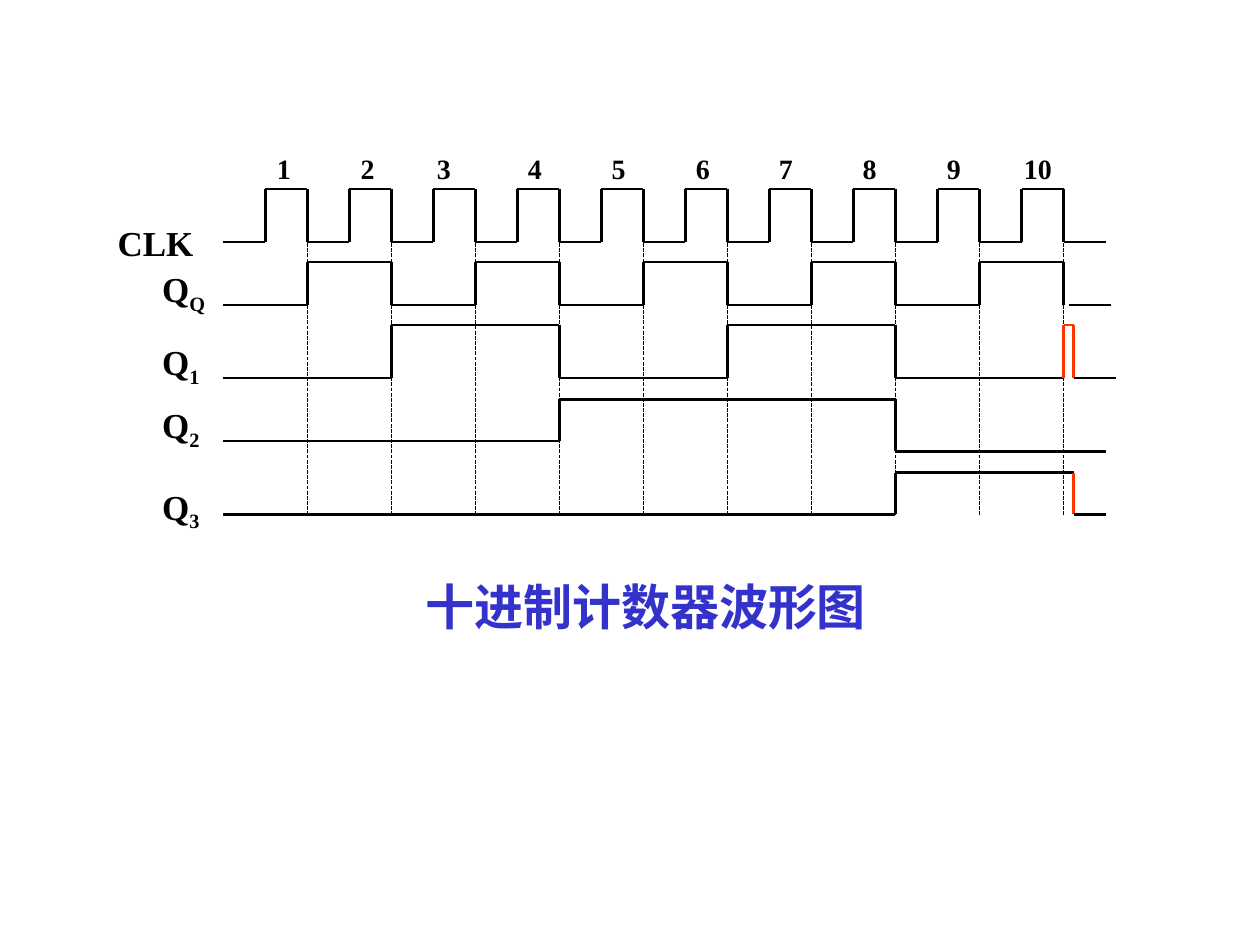
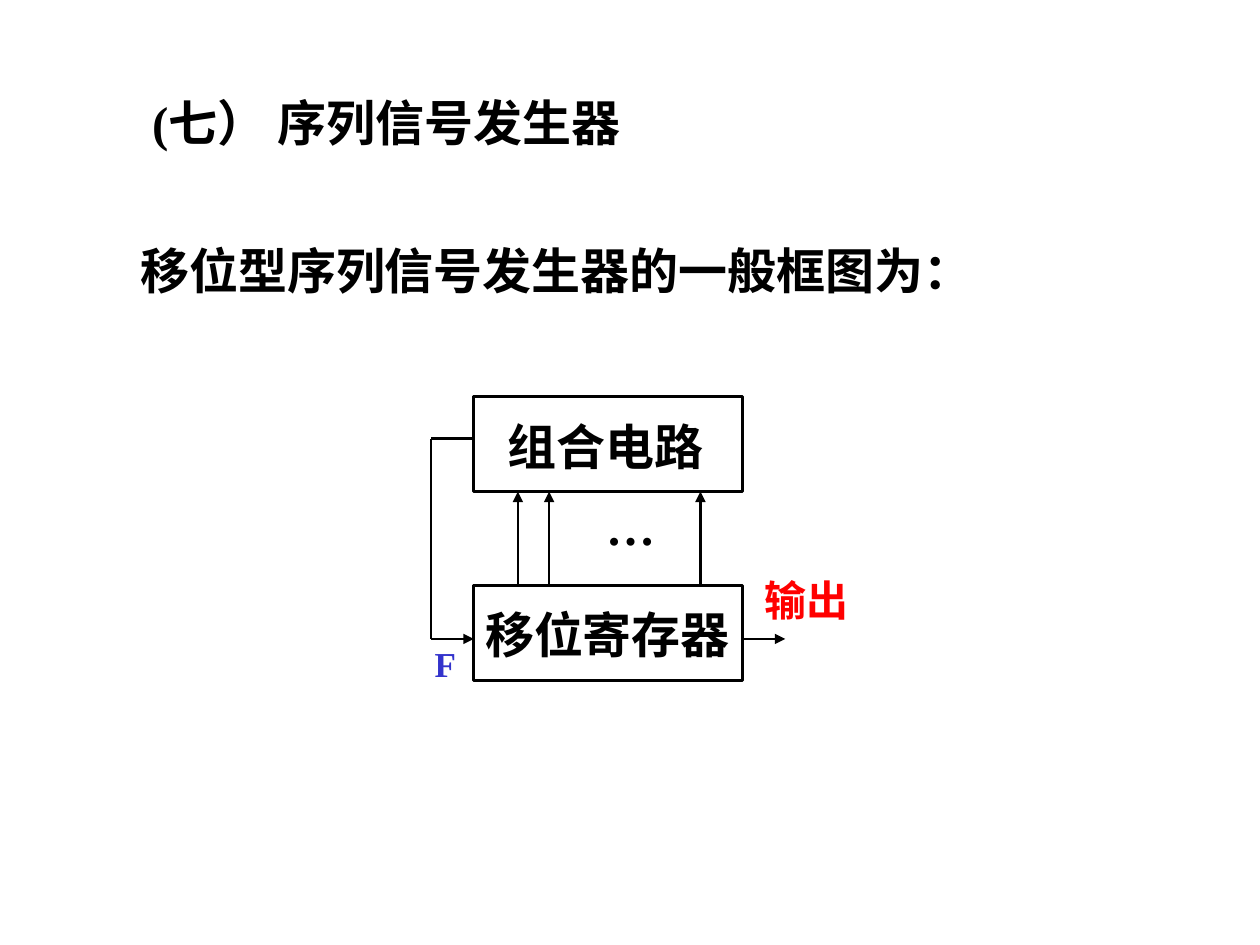
"""Build two slides: a decade counter timing chart and a sequence generator diagram."""
from itertools import pairwise

from lxml.etree import SubElement
from pptx import Presentation
from pptx.dml.color import RGBColor
from pptx.enum.dml import MSO_LINE
from pptx.enum.shapes import MSO_CONNECTOR, MSO_SHAPE
from pptx.enum.text import MSO_ANCHOR
from pptx.oxml.ns import qn
from pptx.util import Cm, Pt

COLORS = {"ink": "000000", "accent": "3333CC", "output": "FF0000", "spike": "FF3300"}
FONT = {"name": "Times New Roman", "bold": True}
MARGINS = {"margin_left": 0.25, "margin_right": 0.25, "margin_top": 0.13, "margin_bottom": 0.13}

TICK_ORIGIN, TICK = 4.5, 1.694
RESET = 10.12
GUIDE_TOP, GUIDE_BOTTOM = 4.9, 10.38

PULSE_LABELS = [("1", 0), ("2", 1.69), ("3", 3.23), ("4", 5.06), ("5", 6.75),
                ("6", 8.45), ("7", 10.12), ("8", 11.81), ("9", 13.51), ("10", 15.06)]

WAVES = [
    {"low": 4.88, "high": 3.81, "edges": [n / 2 for n in range(1, 21)], "end": 10.5},
    {"low": 6.15, "high": 5.28, "edges": range(1, 11), "end": 10},
    {"low": 6.15, "start": 10.07, "end": 10.57},
    {"low": 7.62, "high": 6.55, "edges": [2, 4, 6, 8, 10, RESET], "end": 10.63,
     "spike": (10, RESET)},
    {"low": 8.89, "high": 8.05, "edges": [4, 8], "end": 10.5, "final": 9.1},
    {"low": 10.37, "high": 9.53, "edges": [8, RESET], "end": 10.5, "spike": (RESET, RESET)},
]

SIGNAL_LABELS = [("CLK", "", 2.12, 4.33), ("Q", "Q", 3.02, 5.26), ("Q", "1", 3.02, 6.73),
                 ("Q", "2", 3.02, 8), ("Q", "3", 3.02, 9.65)]
CAPTION = {"text": "十进制计数器波形图", "box": (8.33, 11.5, 10.5, 1.45), "color": "accent"}

GENERATOR_TEXTS = [
    {"text": "(七） 序列信号发生器", "box": (2.82, 1.73, 12, 1.45), "anchor": MSO_ANCHOR.MIDDLE},
    {"text": "移位型序列信号发生器的一般框图为：", "box": (2.58, 4.72, 18.5, 1.45)},
    {"text": "组合电路", "box": (9.98, 8.26, 5, 1.45)},
    {"text": "移位寄存器", "box": (9.53, 12.05, 6, 1.45)},
    {"text": "…", "box": (11.97, 9.88, 1.8, 1.45)},
    {"text": "输出", "box": (15.16, 11.46, 3, 1.27), "size": 24, "color": "output"},
    {"text": "F", "box": (8.51, 12.83, 1.2, 1.12), "size": 20, "color": "accent"},
]

BLOCK_LEFT, BLOCK_WIDTH, BLOCK_HEIGHT = 9.55, 5.42, 1.91
LOGIC_TOP, REGISTER_TOP = 8, 11.81
REGISTER_INPUTS = [10.44, 11.07, 14.12]
FEEDBACK_X, FEEDBACK_TOP, SIGNAL_Y, STUB = 8.69, 8.84, 12.88, 0.86


def rgb(color):
    return RGBColor.from_string(COLORS[color])


def add_line(slide, start, end, color="ink", width=1.5, dash=None, arrow=False):
    line = slide.shapes.add_connector(MSO_CONNECTOR.STRAIGHT, *map(Cm, start + end))
    line.line.color.rgb = rgb(color)
    line.line.width = Pt(width)
    if dash:
        line.line.dash_style = dash
    if arrow:
        SubElement(line.line._get_or_add_ln(), qn("a:tailEnd"), type="triangle")
    SubElement(line._element.spPr, qn("a:effectLst"))


def add_run(paragraph, text, size, color):
    run = paragraph.add_run()
    run.text = text
    for name, value in {**FONT, "size": Pt(size)}.items():
        setattr(run.font, name, value)
    run.font.color.rgb = rgb(color)
    return run


def add_text(slide, text, box, size=28, color="ink", anchor=MSO_ANCHOR.TOP, subscript="", tabs=()):
    frame = slide.shapes.add_textbox(*map(Cm, box)).text_frame
    layout = {name: Cm(value) for name, value in MARGINS.items()}
    for name, value in {**layout, "word_wrap": True, "vertical_anchor": anchor}.items():
        setattr(frame, name, value)
    paragraph = frame.paragraphs[0]
    if tabs:
        stops = SubElement(paragraph._p.get_or_add_pPr(), qn("a:tabLst"))
        for position in tabs:
            SubElement(stops, qn("a:tab"), pos=str(Cm(position)), algn="l")
    add_run(paragraph, text, size, color)
    if subscript:
        run = add_run(paragraph, subscript, size, color)
        run._r.get_or_add_rPr().set("baseline", "-25000")


def tick_x(tick):
    return TICK_ORIGIN + tick * TICK


def add_wave(slide, low, end, high=None, edges=(), start=0, final=None, spike=None):
    points, level = [(start, low)], low
    for edge in edges:
        points.append((edge, level))
        level = high if level == low else low
        if edge == edges[-1] and final:
            level = final
        points.append((edge, level))
    if points[-1][0] != end:
        points.append((end, level))
    for (tick, y), (next_tick, next_y) in pairwise(points):
        in_spike = spike and spike[0] <= tick and next_tick <= spike[1]
        add_line(slide, (tick_x(tick), y), (tick_x(next_tick), next_y),
                 "spike" if in_spike else "ink")


def build_timing_chart(slide):
    for cycle in range(1, 11):
        add_line(slide, (tick_x(cycle), GUIDE_TOP), (tick_x(cycle), GUIDE_BOTTOM),
                 width=0.75, dash=MSO_LINE.SQUARE_DOT)
    for wave in WAVES:
        add_wave(slide, **wave)
    labels, offsets = zip(*PULSE_LABELS)
    add_text(slide, "\t".join(labels), (5.33, 2.92, 17, 0.94), size=16, tabs=offsets[1:])
    for name, subscript, left, top in SIGNAL_LABELS:
        add_text(slide, name, (left, top, 2.2, 1.2), size=20, subscript=subscript)
    add_text(slide, **CAPTION)


def build_generator(slide):
    for top in (LOGIC_TOP, REGISTER_TOP):
        block = slide.shapes.add_shape(
            MSO_SHAPE.RECTANGLE, *map(Cm, (BLOCK_LEFT, top, BLOCK_WIDTH, BLOCK_HEIGHT)))
        block.shadow.inherit = False
        block.fill.background()
        block.line.color.rgb = rgb("ink")
        block.line.width = Pt(1.5)
    for x in REGISTER_INPUTS:
        add_line(slide, (x, REGISTER_TOP), (x, LOGIC_TOP + BLOCK_HEIGHT), arrow=True)
    feedback = [(BLOCK_LEFT, FEEDBACK_TOP), (FEEDBACK_X, FEEDBACK_TOP),
                (FEEDBACK_X, SIGNAL_Y), (BLOCK_LEFT, SIGNAL_Y)]
    for start, end in pairwise(feedback):
        add_line(slide, start, end, arrow=end == feedback[-1])
    output_x = BLOCK_LEFT + BLOCK_WIDTH
    add_line(slide, (output_x, SIGNAL_Y), (output_x + STUB, SIGNAL_Y), arrow=True)
    for item in GENERATOR_TEXTS:
        add_text(slide, **item)


def main():
    presentation = Presentation()
    presentation.slide_width, presentation.slide_height = Cm(25.4), Cm(19.05)
    for build in (build_timing_chart, build_generator):
        build(presentation.slides.add_slide(presentation.slide_layouts[6]))
    presentation.save("out.pptx")


if __name__ == "__main__":
    main()
